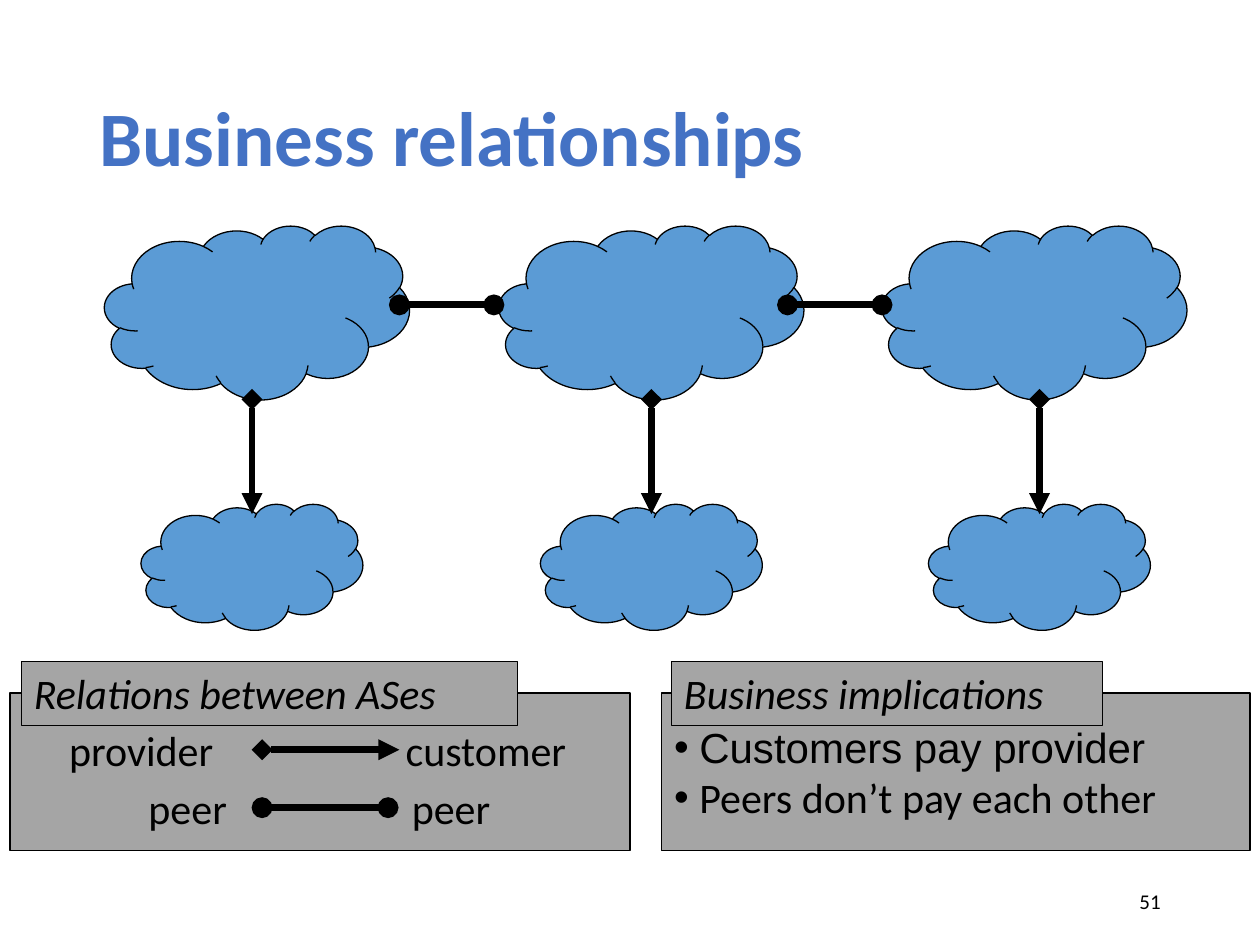
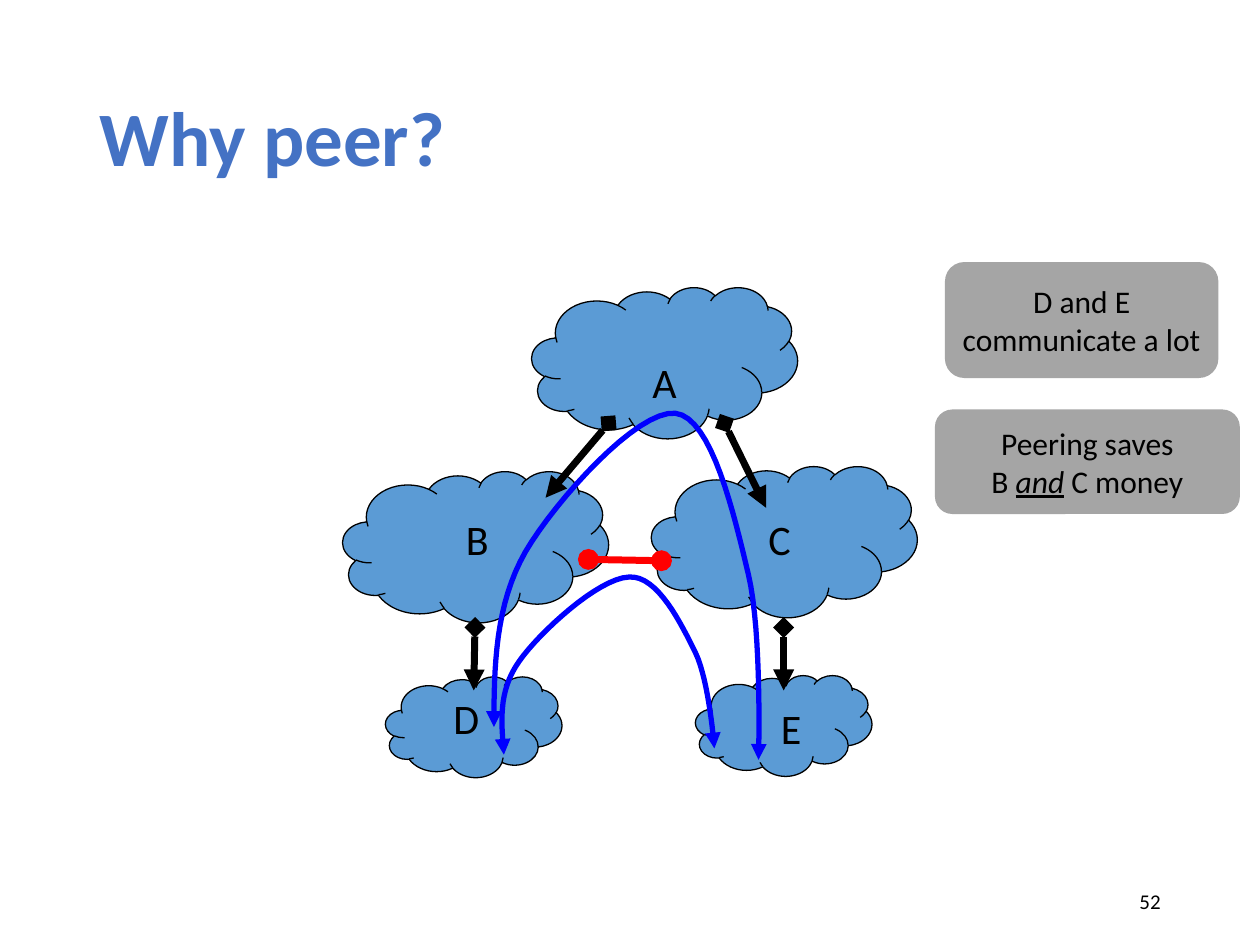
from dataclasses import dataclass

import pptx
import pptx.dml.color
import pptx.enum.shapes
import pptx.enum.text
import pptx.oxml
import pptx.oxml.ns
import pptx.util
from pptx.util import Inches

RGBColor = pptx.dml.color.RGBColor
Shape = pptx.enum.shapes.MSO_SHAPE
Anchor = pptx.enum.text.MSO_ANCHOR
Align = pptx.enum.text.PP_ALIGN
AutoSize = pptx.enum.text.MSO_AUTO_SIZE

TITLE_BLUE = RGBColor(0x44, 0x72, 0xC4)
CLOUD_BLUE = RGBColor(0x5B, 0x9B, 0xD5)
ROUTE_BLUE = RGBColor(0x00, 0x00, 0xFF)
PANEL_GREY = RGBColor(0xA5, 0xA5, 0xA5)
PEER_RED = RGBColor(0xFF, 0x00, 0x00)
BLACK = RGBColor(0x00, 0x00, 0x00)
FONT = "Calibri"

TITLE_ONLY, TITLE_AND_BODY = 5, 1
CURVE_STEPS = 16  # straight pieces per curve segment

Point = tuple[float, float]


@dataclass(frozen=True)
class Box:
    left: float
    top: float
    width: float
    height: float

    def lengths(self) -> list[int]:
        return [Inches(v) for v in (self.left, self.top, self.width, self.height)]


@dataclass(frozen=True)
class LinkKind:
    head: str
    tail: str


@dataclass(frozen=True)
class Link:
    start: Point
    end: Point
    kind: LinkKind
    color: RGBColor = BLACK


@dataclass(frozen=True)
class Label:
    text: str
    box: Box


@dataclass(frozen=True)
class Route:
    start: Point
    segments: list[tuple[Point, Point, Point]]  # two control points, then the end


PROVIDER_TO_CUSTOMER = LinkKind("diamond", "triangle")
PEER_TO_PEER = LinkKind("oval", "oval")
TRAFFIC = LinkKind("triangle", "triangle")


# Shared drawing functions
def place(shape, box: Box) -> None:
    shape.left, shape.top, shape.width, shape.height = box.lengths()


def add_run(paragraph, text: str, size: float, color: RGBColor = BLACK, font: str = FONT,
            bold: bool = False, italic: bool = False, underline: bool = False) -> None:
    run = paragraph.add_run()
    run.text = text
    run.font.name = font
    run.font.size = pptx.util.Pt(size)
    run.font.color.rgb = color
    run.font.bold, run.font.italic, run.font.underline = bold, italic, underline


def paint(shape, fill: RGBColor, outlined: bool = True) -> None:
    shape.fill.solid()
    shape.fill.fore_color.rgb = fill
    if outlined:
        shape.line.color.rgb = BLACK
        shape.line.width = pptx.util.Pt(0.75)
    else:
        shape.line.fill.background()


def add_filled(slide, preset, box: Box, fill: RGBColor, outlined: bool = True):
    shape = slide.shapes.add_shape(preset, *box.lengths())
    shape.shadow.inherit = False
    paint(shape, fill, outlined)
    return shape


def add_cloud(slide, box: Box) -> None:
    add_filled(slide, Shape.CLOUD, box, CLOUD_BLUE)


def fit_to_text(frame) -> None:
    frame.word_wrap = False
    frame.auto_size = AutoSize.SHAPE_TO_FIT_TEXT


def add_label(slide, label: Label) -> None:
    frame = slide.shapes.add_textbox(*label.box.lengths()).text_frame
    fit_to_text(frame)
    add_run(frame.paragraphs[0], label.text, 24)


def add_tab(slide, label: Label) -> None:
    tab = add_filled(slide, Shape.RECTANGLE, label.box, PANEL_GREY)
    fit_to_text(tab.text_frame)
    tab.text_frame.vertical_anchor = Anchor.TOP
    paragraph = tab.text_frame.paragraphs[0]
    paragraph.alignment = Align.LEFT
    add_run(paragraph, label.text, 24, italic=True)


def style_line(line, color: RGBColor, width: float, kind: LinkKind) -> None:
    line.color.rgb = color
    line.width = pptx.util.Pt(width)
    for tag, end in (("a:headEnd", kind.head), ("a:tailEnd", kind.tail)):
        element = pptx.oxml.parse_xml(f'<{tag} {pptx.oxml.ns.nsdecls("a")} type="{end}"/>')
        line._get_or_add_ln().append(element)


def add_link(slide, link: Link) -> None:
    ends = [Inches(v) for v in (*link.start, *link.end)]
    connector = slide.shapes.add_connector(pptx.enum.shapes.MSO_CONNECTOR.STRAIGHT, *ends)
    style_line(connector.line, link.color, 4, link.kind)
    no_effects = pptx.oxml.parse_xml(f'<a:effectLst {pptx.oxml.ns.nsdecls("a")}/>')
    connector._element.spPr.append(no_effects)


def curve_points(start: Point, controls: tuple[Point, Point, Point]) -> list[Point]:
    first, second, end = controls
    points = []
    for step in range(1, CURVE_STEPS + 1):
        t = step / CURVE_STEPS
        weights = ((1 - t) ** 3, 3 * t * (1 - t) ** 2, 3 * t * t * (1 - t), t ** 3)
        corners = (start, first, second, end)
        x, y = (sum(w * c[axis] for w, c in zip(weights, corners)) for axis in (0, 1))
        points.append((Inches(x), Inches(y)))
    return points


def add_route(slide, route: Route) -> None:
    builder = slide.shapes.build_freeform(*(Inches(v) for v in route.start))
    start = route.start
    for controls in route.segments:
        builder.add_line_segments(curve_points(start, controls), close=False)
        start = controls[-1]
    curve = builder.convert_to_shape()
    curve.shadow.inherit = False
    curve.fill.background()
    style_line(curve.line, ROUTE_BLUE, 3, TRAFFIC)


def add_slide(deck, layout: int, title: str, number: int):
    slide = deck.slides.add_slide(deck.slide_layouts[layout])
    heading = slide.shapes.title
    place(heading, Box(0.69, 0.4, 8.62, 1.45))
    heading.text_frame.vertical_anchor = Anchor.MIDDLE
    paragraph = heading.text_frame.paragraphs[0]
    paragraph.alignment = Align.LEFT
    paragraph.line_spacing = 0.9
    add_run(paragraph, title, 44, TITLE_BLUE, bold=True)

    footer = slide.shapes.add_textbox(*Box(7.06, 6.95, 2.25, 0.4).lengths()).text_frame
    footer.word_wrap = True
    footer.vertical_anchor = Anchor.MIDDLE
    footer.paragraphs[0].alignment = Align.RIGHT
    add_run(footer.paragraphs[0], str(number), 12)
    return slide


# Slide 1: kinds of relationship between networks
def add_implications(slide) -> None:
    panel = slide.placeholders[1]
    place(panel, Box(5.25, 5.5, 4.67, 1.25))
    paint(panel, PANEL_GREY)
    frame = panel.text_frame
    frame.auto_size = AutoSize.NONE
    frame.vertical_anchor = Anchor.MIDDLE
    items = (("Customers pay provider", "Arial"), ("Peers don’t pay each other", FONT))
    for index, (text, font) in enumerate(items):
        paragraph = frame.add_paragraph() if index else frame.paragraphs[0]
        properties = paragraph._p.get_or_add_pPr()
        properties.set("marL", str(Inches(0.2)))
        properties.set("indent", str(-Inches(0.2)))
        for tag in ('a:buFont {} typeface="Arial"', 'a:buChar {} char="•"'):
            xml = tag.format(pptx.oxml.ns.nsdecls("a"))
            properties.append(pptx.oxml.parse_xml(f"<{xml}/>"))
        paragraph.space_before = pptx.util.Pt(0)
        add_run(paragraph, text, 24, font=font)


def build_relationships(deck) -> None:
    slide = add_slide(deck, TITLE_AND_BODY, "Business relationships", 51)

    # Providers above their customers
    columns = ((0.83, 2), (3.96, 5.17), (7, 8.25))  # provider left, link x
    for provider_left, link_x in columns:
        add_cloud(slide, Box(provider_left, 1.79, 2.42, 1.38))
        add_cloud(slide, Box(link_x - 0.88, 4, 1.76, 1))
    for _, link_x in columns:
        add_link(slide, Link((link_x, 3.17), (link_x, 4.08), PROVIDER_TO_CUSTOMER))
    for peer_x in (3.17, 6.25):
        add_link(slide, Link((peer_x, 2.42), (peer_x + 0.75, 2.42), PEER_TO_PEER))

    # Legend
    add_filled(slide, Shape.RECTANGLE, Box(0.08, 5.5, 4.92, 1.25), PANEL_GREY)
    add_link(slide, Link((2.08, 5.95), (3.17, 5.95), PROVIDER_TO_CUSTOMER))
    add_link(slide, Link((2.08, 6.41), (3.08, 6.41), PEER_TO_PEER))
    for label in (
        Label("provider", Box(0.45, 5.7, 1.55, 0.51)),
        Label("customer", Box(3.12, 5.7, 1.72, 0.51)),
        Label("peer", Box(1.08, 6.16, 0.91, 0.51)),
        Label("peer", Box(3.17, 6.16, 0.91, 0.51)),
    ):
        add_label(slide, label)

    add_implications(slide)
    add_tab(slide, Label("Relations between ASes", Box(0.17, 5.25, 3.94, 0.51)))
    add_tab(slide, Label("Business implications", Box(5.33, 5.25, 3.42, 0.51)))


# Slide 2: traffic with and without peering
def add_note(slide, box: Box, lines: list[list[tuple[str, bool]]]) -> None:
    note = add_filled(slide, Shape.ROUNDED_RECTANGLE, box, PANEL_GREY, outlined=False)
    note.text_frame.word_wrap = False
    note.text_frame.vertical_anchor = Anchor.MIDDLE
    paragraph = note.text_frame.paragraphs[0]
    paragraph.alignment = Align.CENTER
    for index, line in enumerate(lines):
        if index:
            paragraph.add_line_break()
        for text, stressed in line:
            add_run(paragraph, text, 18, italic=stressed, underline=stressed)


def build_why_peer(deck) -> None:
    slide = add_slide(deck, TITLE_ONLY, "Why peer?", 52)

    # Networks: customers D and E, then A, B and C
    for left, top in ((5.52, 5.36), (3.06, 5.37)):
        add_cloud(slide, Box(left, top, 1.4, 0.8))
    for left, top in ((4.22, 2.28), (5.17, 3.7), (2.72, 3.74)):
        add_cloud(slide, Box(left, top, 2.11, 1.2))

    add_link(slide, Link((4.67, 4.44), (5.25, 4.45), PEER_TO_PEER, PEER_RED))
    for start, end in (
        ((3.77, 4.98), (3.76, 5.48)),
        ((6.22, 4.98), (6.22, 5.48)),
        ((5.75, 3.36), (6.08, 4.03)),
        ((4.83, 3.36), (4.33, 3.95)),
    ):
        add_link(slide, Link(start, end, PROVIDER_TO_CUSTOMER))

    for name, left, top in (("A", 5.08, 2.78), ("B", 3.6, 4.03), ("C", 6, 4.03),
                            ("D", 3.5, 5.45), ("E", 6.1, 5.53)):
        add_label(slide, Label(name, Box(left, top, 0.4, 0.5)))

    # Traffic between D and E
    through_provider = Route((3.92, 5.77), [
        ((3.92, 5.29), (3.93, 4.8), (4.17, 4.38)),
        ((4.41, 3.97), (5.06, 3.25), (5.36, 3.28)),
        ((5.65, 3.31), (5.83, 4.1), (5.94, 4.56)),
        ((6.05, 5.02), (6.02, 6.03), (6.02, 6.03)),
    ])
    through_peering = Route((4, 5.99), [
        ((3.98, 5.74), (3.95, 5.49), (4.12, 5.25)),
        ((4.28, 5.02), (4.75, 4.59), (4.99, 4.58)),
        ((5.22, 4.56), (5.41, 4.96), (5.52, 5.18)),
        ((5.63, 5.41), (5.67, 5.94), (5.67, 5.94)),
    ])
    for route in (through_provider, through_peering):
        add_route(slide, route)

    add_note(slide, Box(7.5, 2.08, 2.17, 0.92),
             [[("D and E", False)], [("communicate a lot", False)]])
    add_note(slide, Box(7.42, 3.25, 2.42, 0.83),
             [[("Peering saves", False)],
              [("B ", False), ("and", True), (" C money", False)]])


def main() -> None:
    deck = pptx.Presentation()
    deck.slide_width, deck.slide_height = Inches(10), Inches(7.5)
    build_relationships(deck)
    build_why_peer(deck)
    deck.save("out.pptx")


if __name__ == "__main__":
    main()
